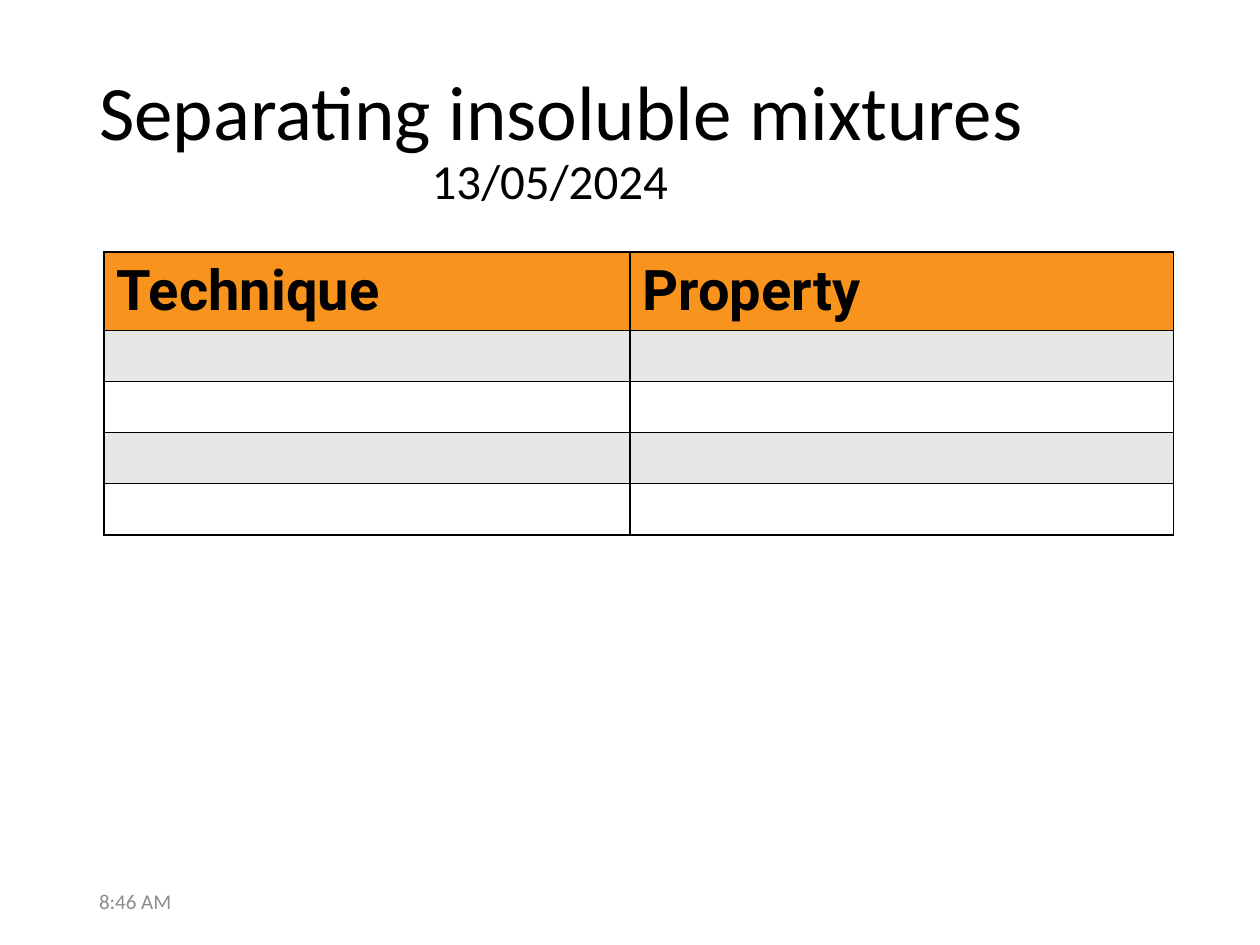
from lxml.etree import SubElement
from pptx import Presentation
from pptx.dml.color import RGBColor
from pptx.enum.text import MSO_ANCHOR, MSO_AUTO_SIZE, PP_ALIGN
from pptx.oxml.ns import qn
from pptx.util import Pt


def format_font(font, color, **values):
    font.color.rgb = RGBColor.from_string(color)
    for attribute, value in values.items():
        setattr(font, attribute, value)


def border_cell(cell, color, width):
    properties = cell._tc.get_or_add_tcPr()
    for position, side in enumerate(("lnL", "lnR", "lnT", "lnB")):
        line = SubElement(properties, qn(f"a:{side}"), w=str(Pt(width)))
        fill = SubElement(line, qn("a:solidFill"))
        SubElement(fill, qn("a:srgbClr"), val=color)
        properties.insert(position, line)


presentation = Presentation()
presentation.slide_width, presentation.slide_height = Pt(720), Pt(540)
slide = presentation.slides.add_slide(presentation.slide_layouts[5])

# Title with the lesson date indented below it
heading = slide.shapes.title
heading_place = {"left": 49.5, "top": 28.75, "width": 621, "height": 104.4}
for attribute, value in heading_place.items():
    setattr(heading, attribute, Pt(value))
heading_frame = heading.text_frame
heading_frame.text = "Separating insoluble mixtures\n13/05/2024"
heading_format = {"auto_size": MSO_AUTO_SIZE.NONE, "word_wrap": True,
                  "vertical_anchor": MSO_ANCHOR.MIDDLE}
for attribute, value in heading_format.items():
    setattr(heading_frame, attribute, value)
for line, size, indent in zip(heading_frame.paragraphs, (44, 28), (0, 190)):
    line.alignment = PP_ALIGN.LEFT
    line.line_spacing = 0.9
    line._p.get_or_add_pPr().set("marL", str(Pt(indent)))
    format_font(line.runs[0].font, "000000", name="Calibri", size=Pt(size))

# Table of techniques, to be filled in
row_heights = [44.7] + [29.2] * 4
row_fills = ["F8931D"] + ["E7E7E7", "FFFFFF"] * 2
column_widths = [300.5, 310.5]
techniques = slide.shapes.add_table(
    len(row_heights), len(column_widths), Pt(59.5), Pt(144),
    Pt(sum(column_widths)), Pt(sum(row_heights))).table
for column, width in zip(techniques.columns, column_widths):
    column.width = Pt(width)
for row, height, fill in zip(techniques.rows, row_heights, row_fills):
    row.height = Pt(height)
    for cell in row.cells:
        cell.fill.solid()
        cell.fill.fore_color.rgb = RGBColor.from_string(fill)
        border_cell(cell, "000000", 1)
for cell, label in zip(techniques.rows[0].cells, ("Technique", "Property")):
    cell.text = label
    format_font(cell.text_frame.paragraphs[0].runs[0].font, "000000",
                name="Roboto", size=Pt(32), bold=True)

# Time in the footer
time_frame = slide.shapes.add_textbox(
    Pt(49.5), Pt(500.5), Pt(162), Pt(28.75)).text_frame
time_frame.word_wrap = True
time_frame.vertical_anchor = MSO_ANCHOR.MIDDLE
time_frame.text = "8:46 AM"
format_font(time_frame.paragraphs[0].runs[0].font, "8C8C8C",
            name="Calibri", size=Pt(12))

presentation.save("out.pptx")
